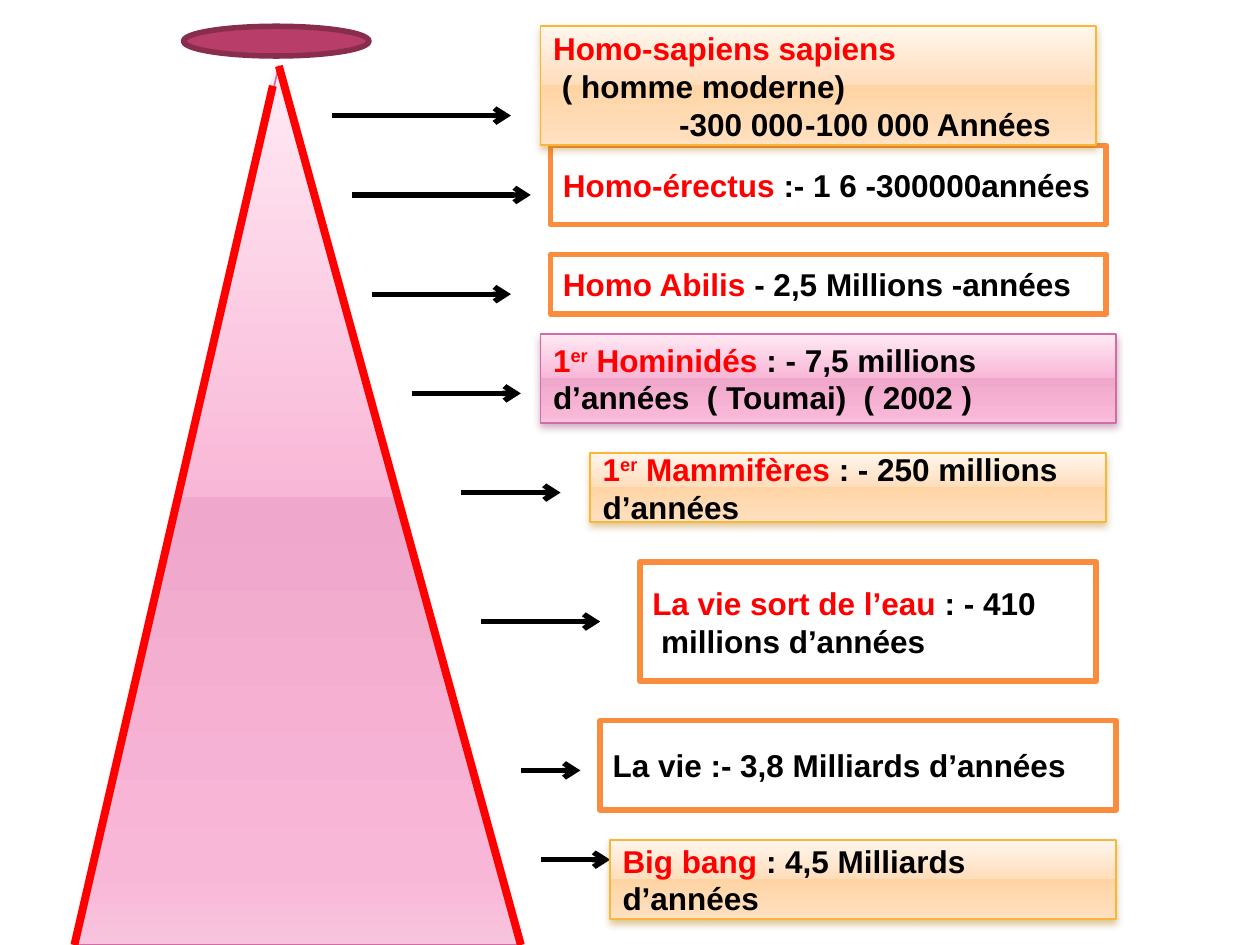
from lxml.etree import SubElement
from pptx import Presentation
from pptx.dml.color import RGBColor
from pptx.enum.shapes import MSO_CONNECTOR, MSO_SHAPE
from pptx.enum.text import MSO_ANCHOR, PP_ALIGN
from pptx.oxml.ns import qn
from pptx.util import Cm, Pt

COLORS = {"red": "FF0000", "black": "000000", "white": "FFFFFF",
          "orange": "FA8D3D", "plum": "B83D68", "dark_plum": "882D4D"}
STOPS = (0, 49, 49, 92, 100)
GRADIENTS = {
    "pink": {"stops": ("FFEAF4", "F9B7D7", "EFA7CB", "F9B7D7", "F8C4DD"),
             "line": "CF6DA4", "shadow": "893263"},
    "peach": {"stops": ("FFF6ED", "FFDEBC", "FFD4A4", "FFDEBC", "FFE3C7"),
              "line": "F9B639", "shadow": "B07405"},
}
FONT = {"name": "Arial", "size": Pt(18), "bold": True}
FRAME = {"word_wrap": True, "vertical_anchor": MSO_ANCHOR.MIDDLE}

# Each stage: style, box (left, top, width, height), arrow (from x, to x, y),
# paragraphs as (indent, [(text, colour, superscript)])
R, B = "red", "black"
STAGES = [
    ("peach", (4.2, 0, 11.2, 2.4), (0, 3.6, 1.8),
     [(0, [("Homo-sapiens sapiens", R, 0)]),
      (0.18, [("( homme moderne)", B, 0)]),
      (2.54, [("-300 000\t-100 000 Années", B, 0)])]),
    ("plain", (4.4, 2.4, 11.2, 1.6), (0.4, 4, 3.4),
     [(0, [("Homo-érectus", R, 0), (" :- 1 6 -300000années", B, 0)])]),
    ("plain", (4.4, 4.6, 11.2, 1.2), (0.8, 3.6, 5.4),
     [(0, [("Homo Abilis ", R, 0), ("- 2,5 Millions -années", B, 0)])]),
    ("pink", (4.2, 6.2, 11.6, 1.8), (1.6, 3.8, 7.4),
     [(0, [("1", R, 0), ("er", R, 1), (" Hominidés ", R, 0),
           (": - 7,5 millions d’années  ( Toumai)  ( 2002 )", B, 0)])]),
    ("peach", (5.2, 8.6, 10.4, 1.4), (2.6, 4.6, 9.4),
     [(0, [("1", R, 0), ("er", R, 1), (" Mammifères ", R, 0),
           (": - 250 millions d’années", B, 0)])]),
    ("plain", (6.2, 10.8, 9.2, 2.4), (3, 5.4, 12),
     [(0, [("La vie sort de l’eau ", R, 0), (": - 410", B, 0)]),
      (0.18, [("millions d’années", B, 0)])]),
    ("plain", (5.4, 14, 10.4, 1.8), (3.8, 5, 15),
     [(0, [("La vie :- 3,8 Milliards d’années", B, 0)])]),
    ("peach", (5.6, 16.4, 10.2, 1.6), (4.2, 5.6, 16.8),
     [(0, [("Big bang ", R, 0), (": 4,5 Milliards", B, 0)]),
      (0, [("d’années", B, 0)])]),
]


def rgb(value):
    return RGBColor.from_string(value)


def set_all(target, values):
    for name, value in values.items():
        setattr(target, name, value)


def add_color(parent, value, alpha=None):
    clr = SubElement(parent, qn("a:srgbClr"), val=value)
    if alpha:
        SubElement(clr, qn("a:alpha"), val=str(alpha * 1000))


def add_solid(slide, kind, box, fill, line, width):
    sp = slide.shapes.add_shape(kind, *map(Cm, box))
    sp.shadow.inherit = False
    sp.fill.solid()
    sp.fill.fore_color.rgb = rgb(fill)
    sp.line.color.rgb = rgb(line)
    sp.line.width = Pt(width)
    return sp


def add_glossy(slide, kind, box, style):
    look = GRADIENTS[style]
    sp = add_solid(slide, kind, box, look["stops"][0], look["line"], 0.9)
    sp.fill.gradient()
    sp.fill.gradient_angle = 270
    spPr = sp._element.spPr
    stops = spPr.find(qn("a:gradFill")).find(qn("a:gsLst"))
    for gs in list(stops):
        stops.remove(gs)
    for pos, value in zip(STOPS, look["stops"]):
        add_color(SubElement(stops, qn("a:gs"), pos=str(pos * 1000)), value)
    shadow = SubElement(spPr.find(qn("a:effectLst")), qn("a:outerShdw"),
                        blurRad=str(Pt(4)), dist=str(Pt(2)), dir="5400000",
                        rotWithShape="0")
    add_color(shadow, look["shadow"], 38)
    return sp


def add_line(slide, start, end, color, width, arrow=False):
    ln = slide.shapes.add_connector(MSO_CONNECTOR.STRAIGHT, *map(Cm, start + end))
    ln.line.color.rgb = rgb(color)
    ln.line.width = Pt(width)
    if arrow:
        SubElement(ln.line._get_or_add_ln(), qn("a:tailEnd"), type="arrow")
    SubElement(ln._element.spPr, qn("a:effectLst"))


def write_text(sp, paragraphs):
    tf = sp.text_frame
    set_all(tf, FRAME)
    for i, (indent, runs) in enumerate(paragraphs):
        p = tf.add_paragraph() if i else tf.paragraphs[0]
        p.alignment = PP_ALIGN.LEFT
        if indent:
            p._p.get_or_add_pPr().set("marL", str(Cm(indent)))
        for text, color, superscript in runs:
            r = p.add_run()
            r.text = text
            set_all(r.font, FONT)
            r.font.color.rgb = rgb(COLORS[color])
            if superscript:
                r._r.get_or_add_rPr().set("baseline", "30000")


def add_cone(slide, x, y, w, h):
    # Pink body with red edges
    top = y + 0.8
    sp = add_glossy(slide, MSO_SHAPE.ISOSCELES_TRIANGLE, (x, top, w, h - 0.8), "pink")
    sp.adjustments[0] = 0.458
    add_line(slide, (x + 4, y + 1.2), (x, y + h), COLORS["red"], 4.5)
    add_line(slide, (x + 0.458 * w, top), (x + w, y + h), COLORS["red"], 4.5)
    # Ellipse above the tip
    add_solid(slide, MSO_SHAPE.OVAL, (x + 2.2, y, 3.74, 0.6),
              COLORS["plum"], COLORS["dark_plum"], 3.15)


def add_timeline(slide, x, y):
    # From the oldest stage up, so that newer boxes lie in front
    for style, (left, top, w, h), (x1, x2, level), paragraphs in reversed(STAGES):
        add_line(slide, (x + x1, y + level), (x + x2, y + level),
                 COLORS["black"], 3, arrow=True)
        box = (x + left, y + top, w, h)
        if style == "plain":
            sp = add_solid(slide, MSO_SHAPE.RECTANGLE, box,
                           COLORS["white"], COLORS["orange"], 3.15)
        else:
            sp = add_glossy(slide, MSO_SHAPE.RECTANGLE, box, style)
        write_text(sp, paragraphs)


def main():
    prs = Presentation()
    prs.slide_width, prs.slide_height = Cm(25.4), Cm(19.05)
    s = prs.slides.add_slide(prs.slide_layouts[6])
    add_cone(s, 1.5, 0.53, 9, 18.52)
    add_timeline(s, 6.7, 0.53)
    prs.save("out.pptx")


if __name__ == "__main__":
    main()
